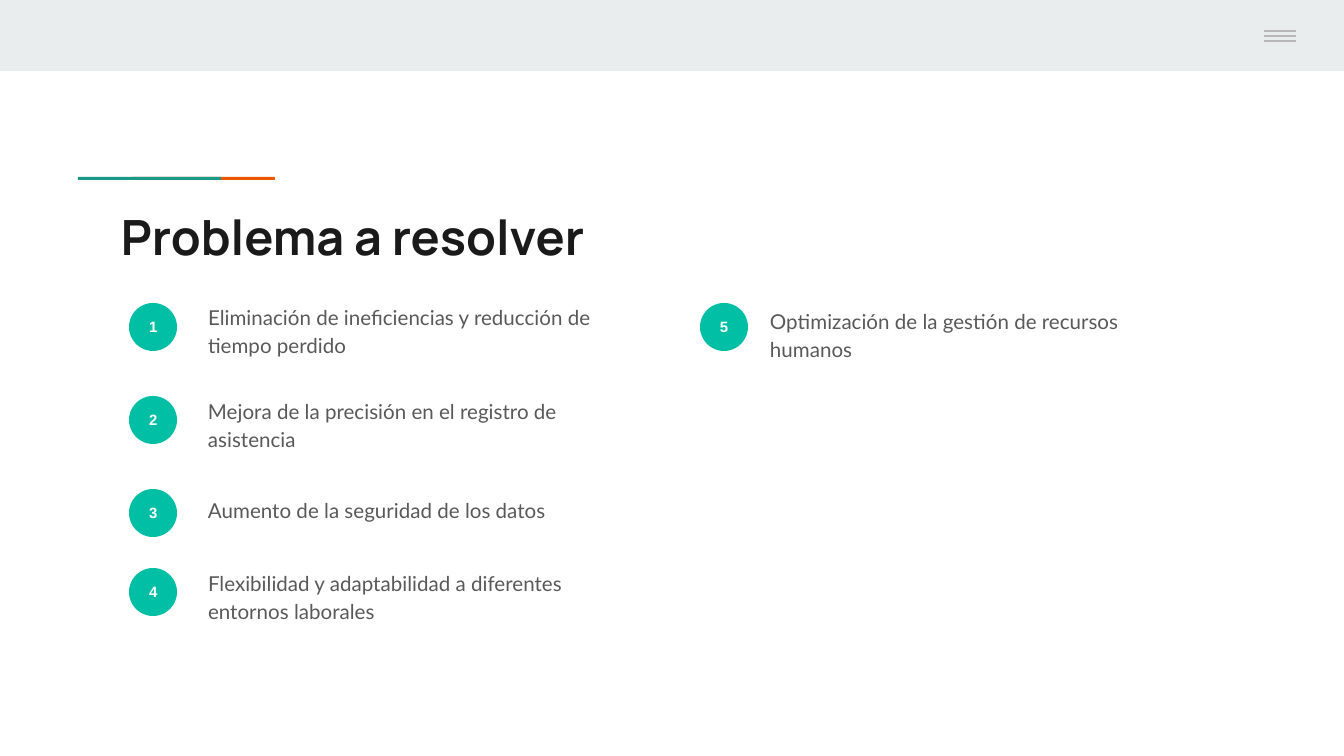
from lxml import etree
from pptx import Presentation
from pptx.dml.color import RGBColor
from pptx.enum.shapes import MSO_CONNECTOR as LINE, MSO_SHAPE as SHAPE
from pptx.enum.text import MSO_ANCHOR as ANCHOR, PP_ALIGN as ALIGN
from pptx.oxml.ns import qn
from pptx.util import Pt

WIDTH, HEIGHT = 1344, 756
SCALE = 9144000 / WIDTH
INSET = 13

WHITE = RGBColor(0xFF, 0xFF, 0xFF)
BAND = RGBColor(0xE9, 0xED, 0xEE)
MENU = RGBColor(0xB7, 0xB7, 0xB7)
ORANGE = RGBColor(0xEB, 0x56, 0x00)
TEAL = RGBColor(0x1A, 0x99, 0x88)
MINT = RGBColor(0x00, 0xBF, 0xA5)
INK = RGBColor(0x1A, 0x1A, 0x1A)
GREY = RGBColor(0x59, 0x59, 0x59)

REASONS = [
    ("Eliminación de ineficiencias y reducción de tiempo perdido",
     (129, 303, 483, 65), (66, -15)),
    ("Mejora de la precisión en el registro de asistencia",
     (129, 396, 471, 79), (66, -14)),
    ("Aumento de la seguridad de los datos",
     (129, 489, 471, 65), (66, -8)),
    ("Flexibilidad y adaptabilidad a diferentes entornos laborales",
     (129, 568, 483, 65), (66, -14)),
    ("Optimización de la gestión de recursos humanos",
     (700, 303, 474, 70), (57, -11)),
]


def px(*lengths):
    return [round(length * SCALE) for length in lengths]


def add_solid(page, kind, box, colour):
    shape = page.shapes.add_shape(kind, *px(*box))
    shape.shadow.inherit = False
    shape.fill.solid()
    shape.fill.fore_color.rgb = colour
    shape.line.fill.background()
    return shape


def write(shape, text, font_name, size, colour, bold=False):
    frame = shape.text_frame
    frame.word_wrap = True
    inset = px(INSET)[0]
    frame.margin_left = frame.margin_right = inset
    frame.margin_top = frame.margin_bottom = inset
    frame.text = text
    para = frame.paragraphs[0]
    font = para.runs[0].font
    font.name, font.size, font.bold = font_name, Pt(size), bold
    font.color.rgb = colour
    return para


def add_header(page, box):
    left, top, width, height = box
    add_solid(page, SHAPE.RECTANGLE, box, BAND)
    for row in range(3):
        y = top + 31 + 5 * row
        right = left + width - 48
        line = page.shapes.add_connector(
            LINE.STRAIGHT, *px(right - 32, y, right, y))
        line.line.color.rgb = MENU
        line.line.width = Pt(0.75)
        etree.SubElement(line._element.spPr, qn("a:effectLst"))


def add_accent(page, box):
    left, top, width, height = box
    bar = 143
    add_solid(page, SHAPE.RECTANGLE,
              (left + width - bar, top, bar, height), ORANGE)
    add_solid(page, SHAPE.RECTANGLE, (left, top, bar, height), TEAL)


def add_title(page, box, text):
    title = page.shapes.add_textbox(*px(*box))
    write(title, text, "Manrope", 26, INK, True)


def add_reason(page, box, number, text, offset):
    left, top, width, height = box
    dx, dy = offset
    badge = add_solid(page, SHAPE.OVAL, (left, top, 48, 48), MINT)
    badge.text_frame.vertical_anchor = ANCHOR.MIDDLE
    write(badge, str(number), "Arial", 8, WHITE, True).alignment = ALIGN.CENTER
    label = page.shapes.add_textbox(
        *px(left + dx, top + dy, width - dx, height))
    para = write(label, text, "Lato", 11, GREY)
    para.line_spacing = 1.15
    para.space_after = Pt(16)


def main():
    deck = Presentation()
    deck.slide_width, deck.slide_height = px(WIDTH, HEIGHT)
    page = deck.slides.add_slide(deck.slide_layouts[6])
    add_header(page, (0, 0, WIDTH, 71))
    add_accent(page, (78, 177, 197, 3))
    add_title(page, (108, 194, 1130, 79), "Problema a resolver")
    for number, (text, box, offset) in enumerate(REASONS, 1):
        add_reason(page, box, number, text, offset)
    deck.save("out.pptx")


if __name__ == "__main__":
    main()
